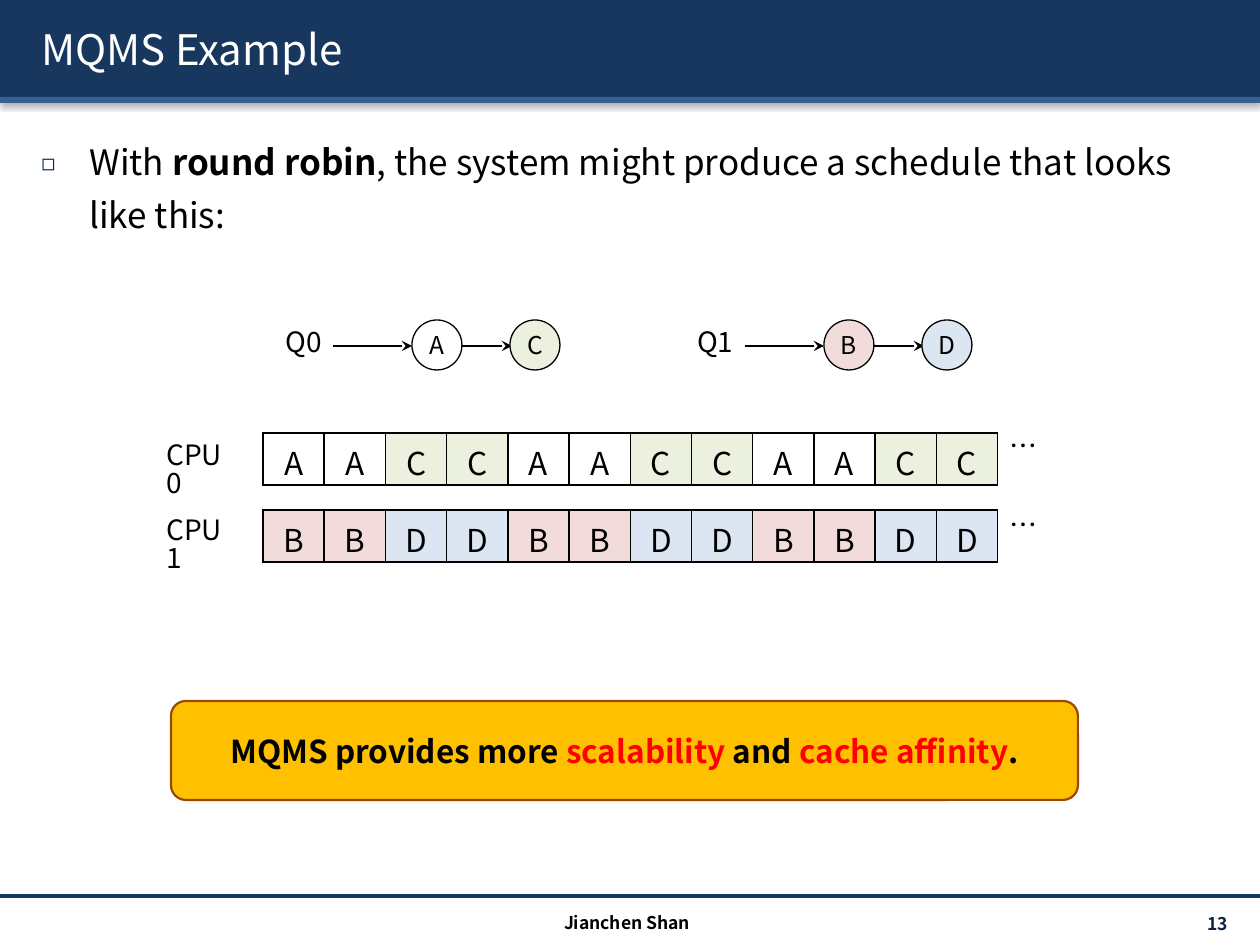
from dataclasses import dataclass

import pptx
import pptx.dml.color
import pptx.enum.shapes
import pptx.enum.text
import pptx.oxml
import pptx.oxml.ns
import pptx.util
from lxml import etree

PIXEL = 914400 // 126
FONT = "Noto Sans CJK KR"
TIGHT = 0.84
COLORS = {
    "navy": "17375E", "blue": "376092", "bullet": "002060", "number": "0F243E",
    "white": "FFFFFF", "black": "000000", "red": "FF0000",
    "amber": "FFC000", "brown": "984807",
}
JOB_COLORS = {"A": "FFFFFF", "B": "F2DCDB", "C": "EBF1DE", "D": "DCE6F2"}
SHAPES = pptx.enum.shapes.MSO_SHAPE
ALIGN = pptx.enum.text.PP_ALIGN
ANCHOR = pptx.enum.text.MSO_ANCHOR
NAMESPACE = pptx.oxml.ns.nsdecls("a")


@dataclass
class Run:
    text: str
    color: str = "black"
    bold: bool | None = None


@dataclass
class Queue:
    name: str
    left: int
    jobs: str


@dataclass
class Processor:
    name: str
    label_top: int
    table_top: int
    dots_top: int
    jobs: str


def px(length: int) -> int:
    return length * PIXEL


def rgb(value: str) -> pptx.dml.color.RGBColor:
    return pptx.dml.color.RGBColor.from_string(value)


def add_xml(parent, xml: str) -> None:
    parent.append(etree.fromstring(xml))


def shadow_xml(blur: float, distance: float, angle: int, opacity: int) -> str:
    return (f'<a:effectLst {NAMESPACE}><a:outerShdw blurRad="{int(blur * 12700)}" '
            f'dist="{int(distance * 12700)}" dir="{angle * 60000}" algn="t" rotWithShape="0">'
            f'<a:srgbClr val="000000"><a:alpha val="{opacity * 1000}"/></a:srgbClr>'
            f'</a:outerShdw></a:effectLst>')


def write(frame, runs: list[Run], size: int, align=ALIGN.LEFT, bold: bool = False,
          spacing: float | None = None):
    paragraph = frame.paragraphs[0]
    paragraph.alignment = align
    paragraph.line_spacing = spacing
    font = paragraph.font
    font.name, font.size, font.bold = FONT, pptx.util.Pt(size), bold
    font.color.rgb = rgb(COLORS[runs[0].color])
    for part in runs:
        run = paragraph.add_run()
        run.text = part.text
        if part.color != runs[0].color:
            run.font.color.rgb = rgb(COLORS[part.color])
        if part.bold is not None:
            run.font.bold = part.bold
    return paragraph


def add_text(slide, box: tuple[int, int, int, int], runs: list[Run], size: int,
             anchor=ANCHOR.TOP, **style):
    frame = slide.shapes.add_textbox(*map(px, box)).text_frame
    frame.word_wrap = True
    frame.vertical_anchor = anchor
    return write(frame, runs, size, **style)


def add_shape(slide, kind, box: tuple[int, int, int, int], fill: str,
              line: str | None = None, width: float = 0.75):
    shape = slide.shapes.add_shape(kind, *map(px, box))
    shape.shadow.inherit = False
    shape.fill.solid()
    shape.fill.fore_color.rgb = rgb(fill)
    if line:
        shape.line.color.rgb = rgb(line)
        shape.line.width = pptx.util.Pt(width)
    else:
        shape.line.fill.background()
    shape.text_frame.vertical_anchor = ANCHOR.MIDDLE
    return shape


def add_line(slide, left: int, right: int, y: int, color: str, width: float,
             arrow: bool = False) -> None:
    connector = slide.shapes.add_connector(
        pptx.enum.shapes.MSO_CONNECTOR.STRAIGHT, px(left), px(y), px(right), px(y))
    connector.line.color.rgb = rgb(COLORS[color])
    connector.line.width = pptx.util.Pt(width)
    if arrow:
        add_xml(connector.line._get_or_add_ln(), f'<a:tailEnd {NAMESPACE} type="stealth"/>')
    add_xml(connector._element.spPr, f"<a:effectLst {NAMESPACE}/>")


def add_queue(slide, queue: Queue) -> None:
    left = queue.left
    add_text(slide, (left, 324, 63, 47), [Run(queue.name)], 16, spacing=TIGHT)
    arrows = ((60, 139), (189, 239))
    for job, offset, (start, end) in zip(queue.jobs, (139, 237), arrows):
        add_line(slide, left + start, left + end, 346, "black", 1.5, arrow=True)
        circle = add_shape(slide, SHAPES.OVAL, (left + offset, 320, 50, 50),
                           JOB_COLORS[job], COLORS["black"])
        circle.text_frame.margin_left = circle.text_frame.margin_right = 0
        write(circle.text_frame, [Run(job)], 14, ALIGN.CENTER)


def add_processor(slide, processor: Processor) -> None:
    add_text(slide, (154, processor.label_top, 92, 80), [Run(processor.name)], 16, spacing=TIGHT)
    table = slide.shapes.add_table(1, len(processor.jobs), px(263), px(processor.table_top),
                                   px(735), px(52)).table
    table.first_row = table.horz_banding = False
    for column, job in enumerate(processor.jobs):
        table.columns[column].width = px(735) // len(processor.jobs)
        cell = table.cell(0, column)
        cell.margin_top, cell.margin_bottom = px(6), 0
        write(cell.text_frame, [Run(job)], 18, ALIGN.CENTER)
        properties = cell._tc.get_or_add_tcPr()
        for side in ("lnL", "lnR", "lnT", "lnB"):
            add_xml(properties, f'<a:{side} {NAMESPACE} w="12700"><a:solidFill>'
                                f'<a:srgbClr val="{COLORS["black"]}"/></a:solidFill></a:{side}>')
        cell.fill.solid()
        cell.fill.fore_color.rgb = rgb(JOB_COLORS[job])
    add_text(slide, (997, processor.dots_top, 49, 47), [Run("…")], 16, spacing=TIGHT)


presentation = pptx.Presentation()
presentation.slide_width, presentation.slide_height = px(1260), px(945)
slide = presentation.slides.add_slide(presentation.slide_layouts[6])

# Header bars and title
for top, height, color in ((0, 97, "navy"), (97, 6, "blue")):
    bar = add_shape(slide, SHAPES.RECTANGLE, (0, top, 1260, height), COLORS[color])
    properties = bar._element.spPr
    properties.remove(properties.find(pptx.oxml.ns.qn("a:effectLst")))
    add_xml(properties, shadow_xml(3.1, 1.6, 90, 38))
title = add_text(slide, (29, 8, 1211, 81), [Run("MQMS Example", "white")], 24, ANCHOR.MIDDLE)
title_properties = title.runs[0].font._element
add_xml(title_properties, shadow_xml(0, 1.5, 45, 100))

# Bulleted statement
statement = add_text(slide, (29, 124, 1211, 755), [
    Run("With "), Run("round robin", bold=True),
    Run(", the system might produce a schedule that looks like this:")], 20, spacing=1.25)
bullet_properties = statement._p.get_or_add_pPr()
bullet_properties.set("marL", str(px(48)))
bullet_properties.set("indent", str(-px(48)))
bullet = (f'<a:buClr {NAMESPACE}><a:srgbClr val="{COLORS["bullet"]}"/></a:buClr>',
          f'<a:buSzPct {NAMESPACE} val="65000"/>',
          f'<a:buFont {NAMESPACE} typeface="{FONT}"/>',
          f'<a:buChar {NAMESPACE} char="◻"/>')
for position, xml in enumerate(bullet, start=1):
    bullet_properties.insert(position, etree.fromstring(xml))

# Queues and schedules
for queue in (Queue("Q0", 273, "AC"), Queue("Q1", 685, "BD")):
    add_queue(slide, queue)
for processor in (Processor("CPU0", 437, 433, 428, "AACC" * 3),
                  Processor("CPU1", 512, 510, 507, "BBDD" * 3)):
    add_processor(slide, processor)

# Conclusion
conclusion = add_shape(slide, SHAPES.ROUNDED_RECTANGLE, (171, 701, 907, 99),
                       COLORS["amber"], COLORS["brown"], 1.25)
conclusion.adjustments[0] = 0.15
write(conclusion.text_frame, [
    Run("MQMS provides more "), Run("scalability", "red"), Run(" and "),
    Run("cache affinity", "red"), Run(".")], 18, ALIGN.CENTER, bold=True)

# Footer
add_line(slide, 0, 1260, 896, "navy", 2)
add_text(slide, (418, 906, 418, 30), [Run("Jianchen Shan")], 10, align=ALIGN.CENTER, bold=True)
add_text(slide, (1097, 908, 143, 30), [Run("13", "number")], 10, ANCHOR.MIDDLE,
         align=ALIGN.RIGHT, bold=True)

presentation.save("out.pptx")
